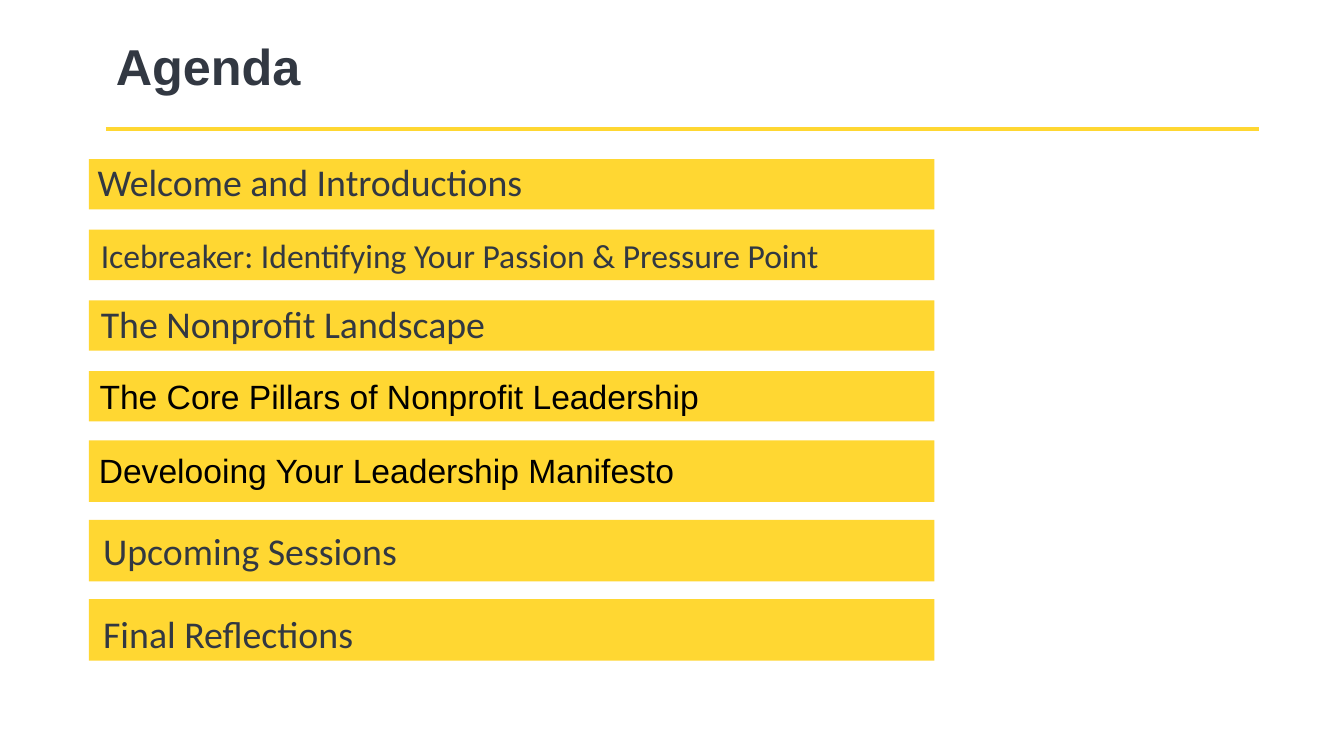
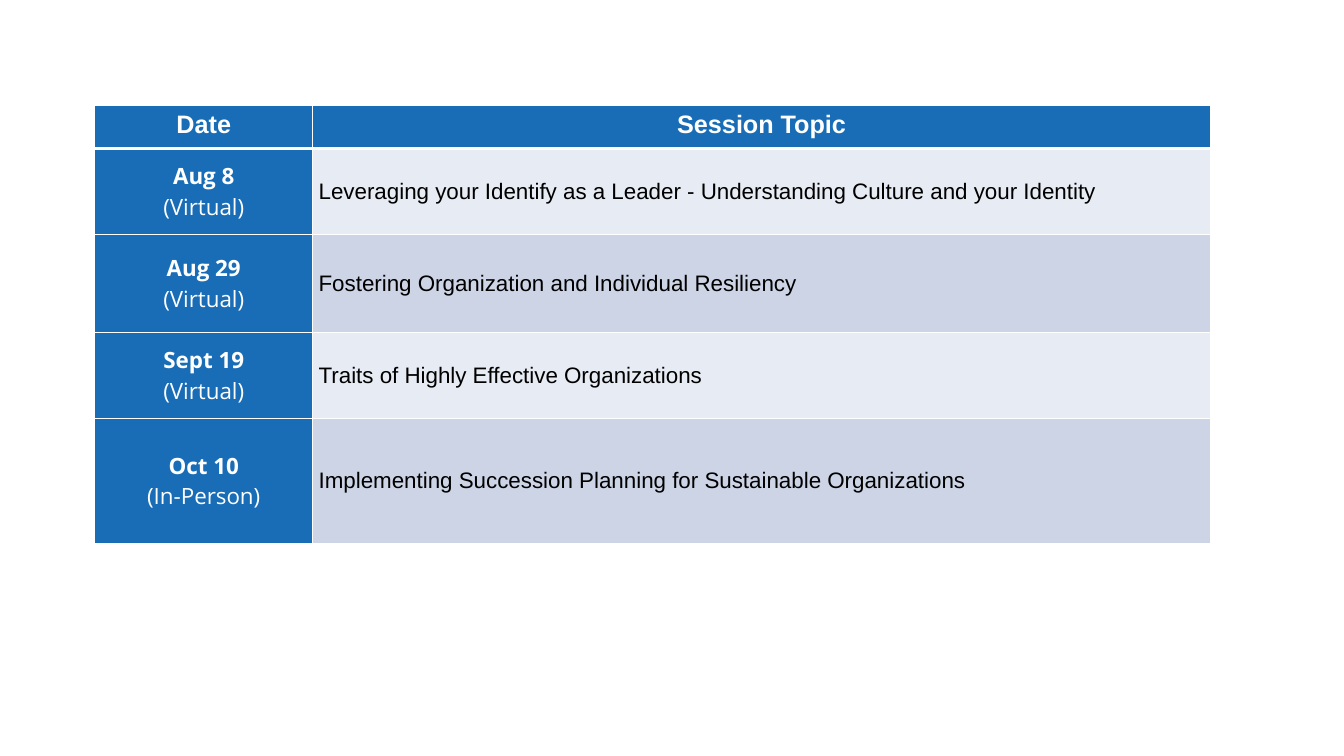
import lxml.etree
import pptx
import pptx.dml.color
import pptx.enum.shapes
import pptx.enum.text
import pptx.oxml.ns
import pptx.util

Cm = pptx.util.Cm
Pt = pptx.util.Pt
qn = pptx.oxml.ns.qn
ALIGN = pptx.enum.text.PP_ALIGN
ANCHOR = pptx.enum.text.MSO_ANCHOR

YELLOW, SLATE, BLACK = "FFD732", "323842", "000000"
BLUE, WHITE, BANDS = "196DB6", "FFFFFF", ("E7EBF3", "CCD4E5")

CALIBRI = {"name": "Calibri", "size": Pt(27), "color": SLATE}
CALIBRI_SMALL = {**CALIBRI, "size": Pt(24)}
ARIAL = {"name": "Arial", "size": Pt(24), "color": BLACK}
TITLE = {"name": "Arial", "size": Pt(36), "color": SLATE, "bold": True}
HEADER = {"name": "Arial", "size": Pt(18), "color": WHITE, "bold": True}
DATE = {"name": "Open Sans", "size": Pt(16), "color": WHITE, "bold": True}
PLACE = {**DATE, "bold": False}
TOPIC = {"name": "Arial", "size": Pt(16), "color": BLACK, "bold": False}

AGENDA_GROUPS = [
    (4.01, 1.78, 1.27, [
        ("Welcome and Introductions", CALIBRI, 0.22, 0),
        ("Icebreaker: Identifying Your Passion & Pressure Point", CALIBRI_SMALL, 0.3, 0.13),
        ("The Nonprofit Landscape", CALIBRI, 0.3, 0),
        ("The Core Pillars of Nonprofit Leadership", ARIAL, 0.27, 0.13),
    ]),
    (11.1, 2, 1.55, [
        ("Develooing Your Leadership Manifesto", ARIAL, 0.25, 0.25),
        ("Upcoming Sessions", CALIBRI, 0.36, 0.2),
        ("Final Reflections", CALIBRI, 0.36, 0.3),
    ]),
]

SESSIONS = [
    ("Aug 8", "(Virtual)",
     "Leveraging your Identify as a Leader - Understanding Culture and your Identity"),
    ("Aug 29", "(Virtual)", "Fostering Organization and Individual Resiliency"),
    ("Sept 19", "(Virtual)", "Traits of Highly Effective Organizations"),
    ("Oct 10", "(In-Person)", "Implementing Succession Planning for Sustainable Organizations"),
]


def color(value):
    return pptx.dml.color.RGBColor.from_string(value)


class Builder:
    """Holds the deck, its style and the current slide."""

    def __init__(self):
        self.deck = pptx.Presentation()
        self.deck.slide_width = Cm(33.87)
        self.deck.slide_height = Cm(19.05)
        self.page = None

    def add_page(self):
        self.page = self.deck.slides.add_slide(self.deck.slide_layouts[6])

    def add_lines(self, frame, lines, align=ALIGN.LEFT):
        frame.word_wrap = True
        for index, (text, style) in enumerate(lines):
            para = frame.add_paragraph() if index else frame.paragraphs[0]
            para.alignment = align
            span = para.add_run()
            span.text = text
            for name, value in style.items():
                if name == "color":
                    span.font.color.rgb = color(value)
                else:
                    setattr(span.font, name, value)

    def inset(self, target, left, top, right, bottom):
        margins = {"margin_left": left, "margin_top": top,
                   "margin_right": right, "margin_bottom": bottom}
        for name, value in margins.items():
            setattr(target, name, Cm(value))

    def title(self, text):
        box = self.page.shapes.add_textbox(Cm(2.67), Cm(0.86), Cm(21.74), Cm(1.75))
        box.text_frame.vertical_anchor = ANCHOR.MIDDLE
        self.add_lines(box.text_frame, [(text, TITLE)])
        box.text_frame.paragraphs[0].line_spacing = 0.9
        rule = self.page.shapes.add_connector(
            pptx.enum.shapes.MSO_CONNECTOR.STRAIGHT, Cm(2.67), Cm(3.25), Cm(31.72), Cm(3.25))
        rule.line.color.rgb = color(YELLOW)
        rule.line.width = Pt(3)
        properties = rule.element.find(qn("p:spPr"))
        lxml.etree.SubElement(properties, qn("a:effectLst"))

    def bar(self, top, height, text, style, indent, drop):
        bar = self.page.shapes.add_shape(
            pptx.enum.shapes.MSO_SHAPE.RECTANGLE, Cm(2.24), Cm(top), Cm(21.31), Cm(height))
        bar.shadow.inherit = False
        bar.fill.solid()
        bar.fill.fore_color.rgb = color(YELLOW)
        bar.line.fill.background()
        bar.text_frame.vertical_anchor = ANCHOR.TOP
        self.inset(bar.text_frame, indent, drop, 0, 0)
        self.add_lines(bar.text_frame, [(text, style)])

    def borders(self, cell, widths):
        properties = cell._tc.get_or_add_tcPr()
        for side, width in widths.items():
            line = lxml.etree.SubElement(properties, qn("a:ln" + side), w=str(Pt(width)))
            fill = lxml.etree.SubElement(line, qn("a:solidFill"))
            lxml.etree.SubElement(fill, qn("a:srgbClr"), val=WHITE)

    def table(self, left, top, widths, heights):
        frame = self.page.shapes.add_table(
            len(heights), len(widths), Cm(left), Cm(top), Cm(sum(widths)), Cm(sum(heights)))
        table = frame.table
        table.horz_banding = False
        for column, width in zip(table.columns, widths):
            column.width = Cm(width)
        for row, height in zip(table.rows, heights):
            row.height = Cm(height)
        return table

    def cell(self, table, row, column, lines, fill, align):
        cell = table.cell(row, column)
        thin, thick = 0.86, 2.59
        self.borders(cell, {"L": thin, "R": thin, "T": thick if row == 1 else thin,
                            "B": thick if row == 0 else thin})
        cell.fill.solid()
        cell.fill.fore_color.rgb = color(fill)
        if row:
            cell.vertical_anchor = ANCHOR.MIDDLE
            self.inset(cell, 0.15, 0.05, 0.15, 0.05)
        self.add_lines(cell.text_frame, lines, align)


def agenda_page(builder):
    builder.add_page()
    builder.title("Agenda")
    for top, pitch, height, items in AGENDA_GROUPS:
        for index, item in enumerate(items):
            builder.bar(top + index * pitch, height, *item)


def sessions_page(builder):
    builder.add_page()
    table = builder.table(2.39, 2.67, [5.49, 22.63], [1.07, 2.16, 2.48, 2.16, 3.15])
    for column, heading in enumerate(["Date", "Session Topic"]):
        builder.cell(table, 0, column, [(heading, HEADER)], BLUE, ALIGN.CENTER)
    for row, (date, place, topic) in enumerate(SESSIONS, 1):
        builder.cell(table, row, 0, [(date, DATE), (place, PLACE)], BLUE, ALIGN.CENTER)
        builder.cell(table, row, 1, [(topic, TOPIC)], BANDS[(row - 1) % 2], ALIGN.LEFT)


def main():
    builder = Builder()
    agenda_page(builder)
    sessions_page(builder)
    builder.deck.save("out.pptx")


if __name__ == "__main__":
    main()
